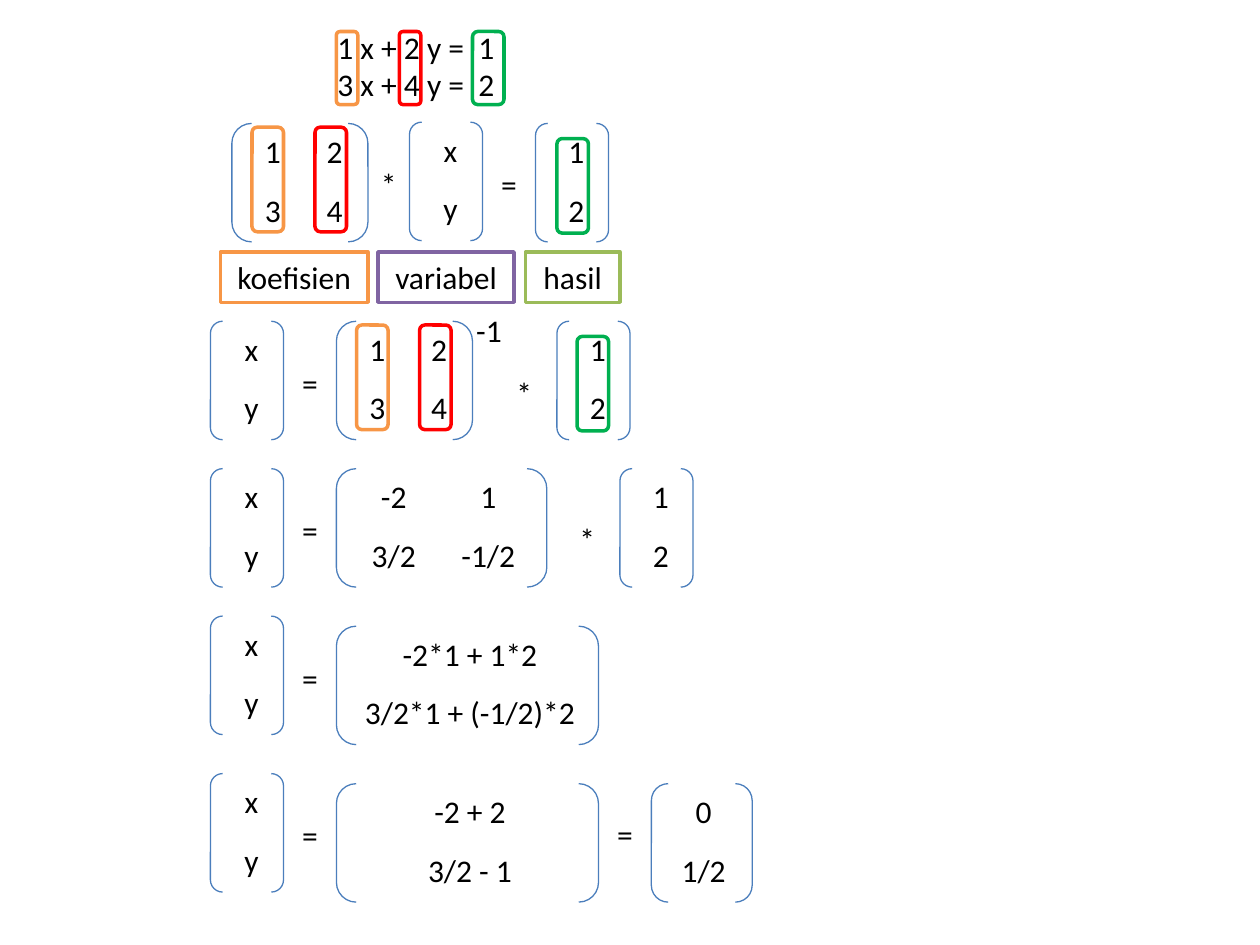
from dataclasses import dataclass

from pptx import Presentation
from pptx.dml.color import RGBColor
from pptx.enum.shapes import MSO_SHAPE
from pptx.enum.text import MSO_ANCHOR, MSO_AUTO_SIZE, PP_ALIGN
from pptx.util import Inches, Pt

BRACKET = MSO_SHAPE.DOUBLE_BRACKET
ROUND = MSO_SHAPE.ROUNDED_RECTANGLE
RECT = MSO_SHAPE.RECTANGLE
MIDDLE = MSO_ANCHOR.MIDDLE
GROW = MSO_AUTO_SIZE.SHAPE_TO_FIT_TEXT
LEFT, CENTER = PP_ALIGN.LEFT, PP_ALIGN.CENTER
NO_GRID = "{2D5ABB26-0587-4C30-8999-92F81FD0307C}"


@dataclass(frozen=True)
class Theme:
    font: str = "Calibri"
    size: float = 18
    ink: str = "000000"
    paper: str = "FFFFFF"
    bracket: str = "4B7EBC"
    orange: str = "F79646"
    red: str = "FF0000"
    green: str = "00B050"
    purple: str = "8064A2"
    olive: str = "9BBB59"
    thin: float = 0.75
    thick: float = 2


theme = Theme()
deck = Presentation()
deck.slide_width, deck.slide_height = Inches(10), Inches(7.5)
slide = deck.slides.add_slide(deck.slide_layouts[6])
shapes = slide.shapes


def write(frame, lines, align=CENTER):
    for i, line in enumerate(lines):
        para = frame.paragraphs[0] if i == 0 else frame.add_paragraph()
        para.alignment = align
        run = para.add_run()
        run.text = line
        run.font.name = theme.font
        run.font.size = Pt(theme.size)
        run.font.color.rgb = RGBColor.from_string(theme.ink)


def outline(kind, box, color, weight):
    shape = shapes.add_shape(kind, *map(Inches, box))
    shape.shadow.inherit = False
    shape.fill.background()
    shape.line.color.rgb = RGBColor.from_string(color)
    shape.line.width = Pt(weight)
    return shape


# Matrices: left, top, column width, bracket width, rows
pair = [["1", "2"], ["3", "4"]]
vars_xy = [["x"], ["y"]]
result = [["1"], ["2"]]
matrices = [
    (1.92, 1.01, 0.49, 1.08, pair),
    (3.33, 1.0, 0.49, 0.58, vars_xy),
    (4.33, 1.01, 0.49, 0.58, result),
    (2.75, 2.58, 0.49, 1.08, pair),
    (4.5, 2.58, 0.49, 0.58, result),
    (2.75, 3.75, 0.75, 1.67, [["-2", "1"], ["3/2", "-1/2"]]),
    (5.0, 3.75, 0.49, 0.58, result),
    (2.75, 5.0, 1.96, 2.08, [["-2*1 + 1*2"], ["3/2*1 + (-1/2)*2"]]),
    (2.75, 6.25, 1.96, 2.08, [["-2 + 2"], ["3/2 - 1"]]),
    (5.25, 6.25, 0.67, 0.8, [["0"], ["1/2"]]),
]
steps = [2.58, 3.75, 4.92, 6.17]
matrices += [(1.75, top, 0.49, 0.58, vars_xy) for top in steps]

for left, top, col, span, rows in matrices:
    count = len(rows[0])
    box = map(Inches, (left, top, col * count, 0.93))
    table = shapes.add_table(len(rows), count, *box).table
    table.first_row = table.horz_banding = False
    table._tbl.tblPr[0].text = NO_GRID
    for r, row in enumerate(rows):
        for c, value in enumerate(row):
            cell = table.cell(r, c)
            cell.fill.background()
            write(cell.text_frame, [value])
    outline(BRACKET, (left - 0.08, top - 0.03, span, 0.94),
            theme.bracket, theme.thin)

# Equations, operators and exponent: left, top, width, height, lines, align
texts = [
    (2.58, 0.17, 1.5, 0.71, ["1 x + 2 y =  1", "3 x + 4 y =  2"], LEFT),
    (2.92, 1.26, 0.33, 0.4, ["*"], CENTER),
    (3.83, 1.26, 0.42, 0.4, ["="], CENTER),
    (3.67, 2.42, 0.42, 0.4, ["-1"], CENTER),
    (4.0, 2.92, 0.25, 0.4, ["*"], CENTER),
    (4.5, 4.08, 0.25, 0.4, ["*"], CENTER),
    (4.75, 6.42, 0.42, 0.4, ["="], CENTER),
]
texts += [(2.25, top + 0.26, 0.42, 0.4, ["="], CENTER) for top in steps]

for *box, lines, align in texts:
    frame = shapes.add_textbox(*map(Inches, box)).text_frame
    frame.word_wrap = True
    frame.auto_size = GROW
    write(frame, lines, align)

# Coloured frames around the coefficients and results
frames = [
    (2.67, 0.25, 0.17, 0.58, theme.orange),
    (3.17, 0.25, 0.17, 0.58, theme.red),
    (3.75, 0.25, 0.25, 0.58, theme.green),
    (4.42, 1.1, 0.25, 0.75, theme.green),
    (4.58, 2.67, 0.25, 0.75, theme.green),
]
for left, top in [(2, 1.01), (2.83, 2.58)]:
    frames += [(left, top, 0.25, 0.83, theme.orange),
               (left + 0.5, top, 0.25, 0.83, theme.red)]

for *box, color in frames:
    outline(ROUND, box, color, theme.thick)

# Labels under the first matrix equation
labels = [
    (1.75, 1.17, "koefisien", theme.orange),
    (3.0, 1.08, "variabel", theme.purple),
    (4.17, 0.75, "hasil", theme.olive),
]
for left, width, name, color in labels:
    label = outline(RECT, (left, 2, width, 0.4), color, theme.thick)
    label.fill.solid()
    label.fill.fore_color.rgb = RGBColor.from_string(theme.paper)
    frame = label.text_frame
    frame.word_wrap = True
    frame.auto_size = GROW
    frame.vertical_anchor = MIDDLE
    write(frame, [name])

deck.save("out.pptx")
